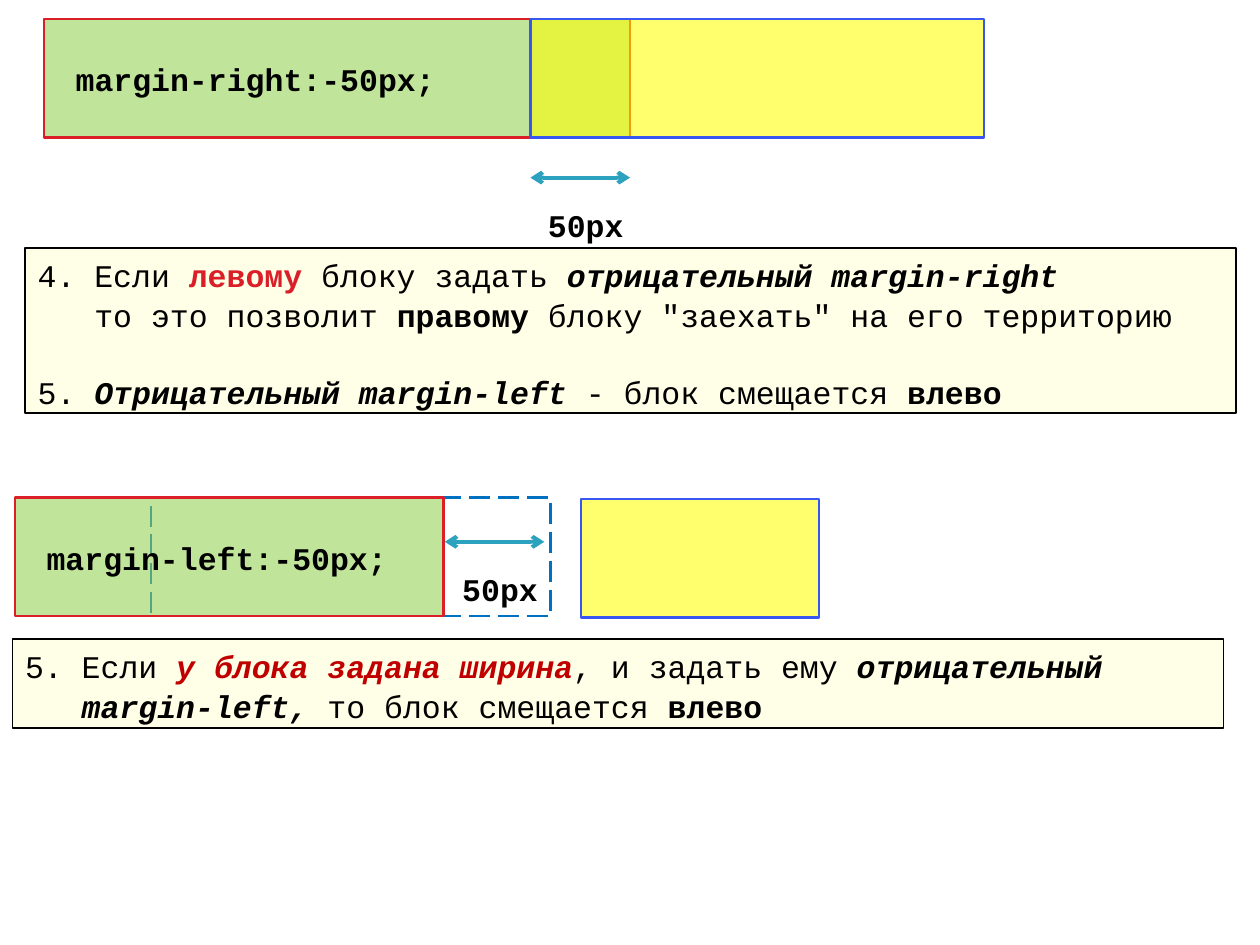
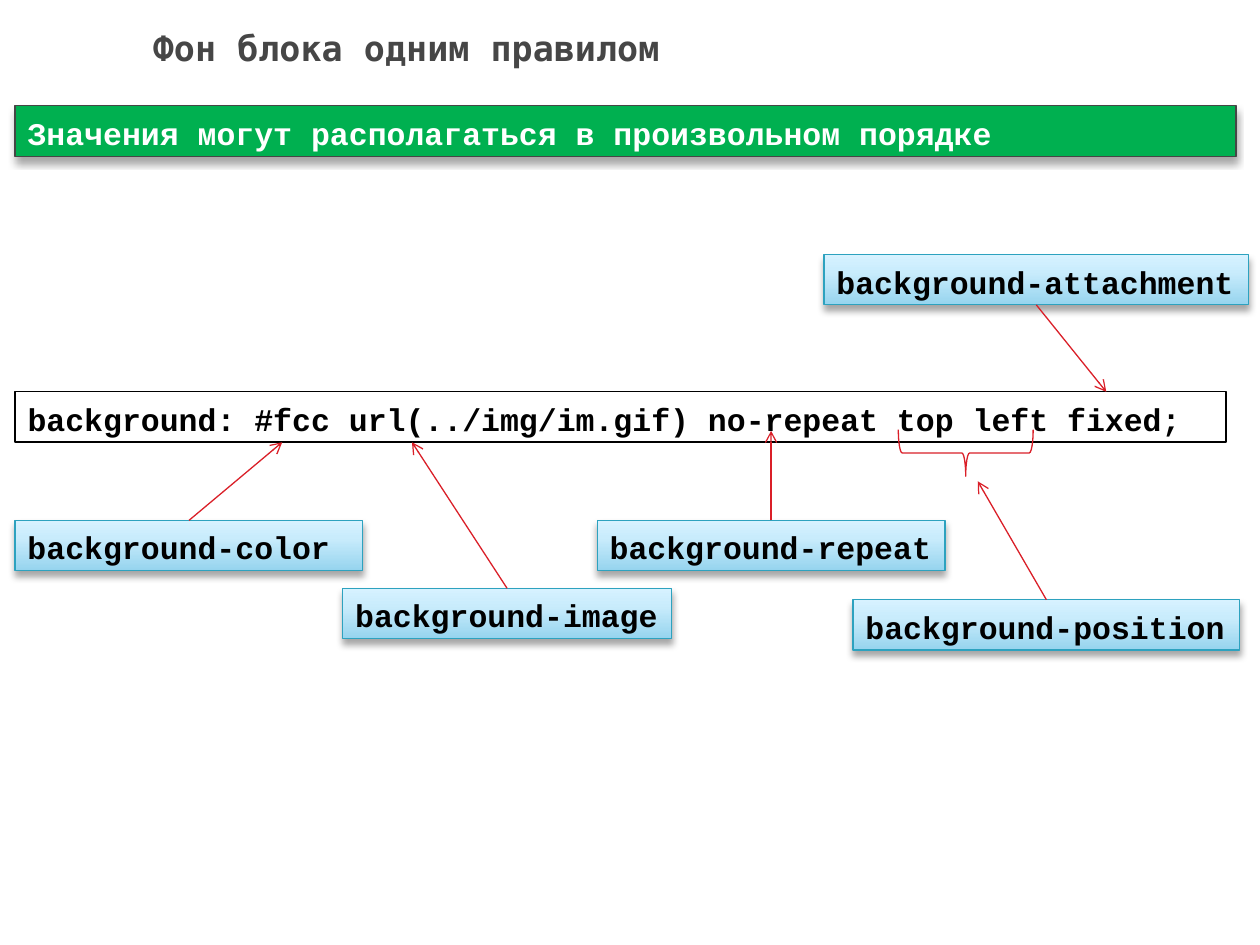
from pptx import Presentation, util as u
from pptx.dml.color import RGBColor
from pptx.enum import dml, shapes, text
from pptx.oxml.ns import qn
from lxml import etree

HUES = dict(ink="000000", white="FFFFFF", red="DA1F28", dark="C00000", blue="3756F2",
            sky="0070C0", teal="2DA2BF", lime="92D050", yellow="FFFF00",
            green="00B050", grey="464646")
FADE = ((0, "96D4EE"), (65, "C9ECFC"), (100, "D7F2FF"))
MONO, HEAD = "Courier New", "DejaVu Sans Mono"
COLS, ROWS = 10, 7.5
LINE = 0.4
BAR = 0.94
RECT = shapes.MSO_SHAPE.RECTANGLE
LEFT = text.PP_ALIGN.LEFT

deck = Presentation()
deck.slide_width, deck.slide_height = u.Inches(COLS), u.Inches(ROWS)
COL, ROW = deck.slide_width / COLS, deck.slide_height / ROWS


def hue(name):
    return RGBColor.from_string(HUES[name])


def cells(x, y):
    return round(x * COL), round(y * ROW)


def node(top, tag, **attrs):
    return etree.SubElement(top, qn("a:" + tag), {k: str(v) for k, v in attrs.items()})


def block(area, box, fill=None, alpha=100, line=None, width=0.75, kind=RECT):
    shape = area.add_shape(kind, *cells(*box[:2]), *cells(*box[2:]))
    shape.shadow.inherit = False
    if fill:
        shape.fill.solid()
        shape.fill.fore_color.rgb = hue(fill)
        if alpha < 100:
            tint = shape.fill._xPr.find(".//" + qn("a:srgbClr"))
            node(tint, "alpha", val=alpha * 1000)
    else:
        shape.fill.background()
    if line:
        shape.line.color.rgb = hue(line)
        shape.line.width = u.Pt(width)
    else:
        shape.line.fill.background()
    return shape


def style(run, color="ink", bold=True, slant=False, font=MONO, size=18):
    face = run.font
    face.name, face.size, face.bold, face.italic = font, u.Pt(size), bold, slant
    face.color.rgb = hue(color)


def write(shape, words, inset=0.1, anchor=text.MSO_ANCHOR.TOP, align=LEFT, **look):
    frame = shape.text_frame
    frame.word_wrap = True
    frame.vertical_anchor = anchor
    frame.margin_left = u.Inches(inset)
    frame.text = words
    para = frame.paragraphs[0]
    para.alignment = align
    para.line_spacing = 1.05
    style(para.runs[0], **look)


def cast(shape):
    glow = node(shape._element.spPr.find(qn("a:effectLst")), "outerShdw",
                blurRad=u.Pt(4), dist=u.Pt(3), dir=5400000, rotWithShape=0)
    node(node(glow, "srgbClr", val=HUES["ink"]), "alpha", val=35000)


def fade(shape):
    shape.fill.gradient()
    shape.fill.gradient_angle = 270
    grad = shape._element.spPr.find(qn("a:gradFill"))
    stops = grad.find(qn("a:gsLst"))
    for stop in list(stops):
        stops.remove(stop)
    for place, tone in FADE:
        node(node(stops, "gs", pos=place * 1000), "srgbClr", val=tone)
    grad.find(qn("a:lin")).set("ang", "16200000")


def arrow(area, start, end, color, width, both=False):
    link = area.add_connector(shapes.MSO_CONNECTOR.STRAIGHT, *cells(*start), *cells(*end))
    link.line.color.rgb = hue(color)
    link.line.width = u.Pt(width)
    edge = link.line._get_or_add_ln()
    if both:
        node(edge, "headEnd", type="arrow")
    node(edge, "tailEnd", type="arrow")
    node(link._element.spPr, "effectLst")


def bar(area, box, words):
    shape = block(area, box, "lime", 57, "red", 1.5)
    write(shape, words, 0.25, text.MSO_ANCHOR.MIDDLE)


def pane(area, box):
    block(area, box, "yellow", 57, "blue", 1.5)


def gap(area, x, y):
    arrow(area, (x, y), (x + 0.79, y), "teal", 2.25, True)
    write(block(area, (x + 0.04, y + 0.16, 0.81, LINE)), "50px")


def note(area, box, lines):
    shape = block(area, box, "yellow", 9, "ink", 1)
    frame = shape.text_frame
    frame.word_wrap = True
    frame.vertical_anchor = text.MSO_ANCHOR.TOP
    for i, (before, parts) in enumerate(lines):
        para = frame.paragraphs[0] if i == 0 else frame.add_paragraph()
        para.alignment = LEFT
        para.line_spacing = 1.05
        para.space_before = u.Pt(before)
        props = para._p.get_or_add_pPr()
        props.set("marL", str(u.Inches(0.45)))
        if parts[0][0][0].isdigit():
            props.set("indent", str(-u.Inches(0.45)))
        for words, mark, *color in parts:
            run = para.add_run()
            run.text = words
            style(run, *(color or ["ink"]), "b" in mark, "i" in mark)


def margins(slide):
    area = slide.shapes
    bar(area, (0.35, 0.15, 4.65, BAR), "margin-right:-50px;")
    pane(area, (4.21, 0.15, 3.6, BAR))
    gap(area, 4.21, 1.41)
    note(area, (0.2, 1.97, 9.61, 1.31), [
        (0, [("4. Если ", ""), ("левому ", "b", "red"), ("блоку задать ", ""),
             ("отрицательный margin-right", "bi")]),
        (0, [("то это позволит ", ""), ("правому ", "b"),
             ('блоку "заехать" на его территорию', "")]),
        (21.4, [("5. ", ""), ("Отрицательный margin-left ", "bi"),
                ("- блок смещается ", ""), ("влево", "b")])])
    note(area, (0.1, 5.07, 9.61, 0.71), [
        (0, [("5. Если ", ""), ("у блока задана ширина", "bi", "dark"),
             (", и задать ему ", ""), ("отрицательный", "bi")]),
        (0, [("margin-left, ", "bi"), ("то блок смещается ", ""), ("влево", "b")])])
    ghost = block(area, (1.2, 3.95, 3.17, BAR), line="sky", width=1.5)
    ghost.line.dash_style = dml.MSO_LINE.LONG_DASH
    pane(area, (4.61, 3.96, 1.89, BAR))
    bar(area, (0.12, 3.95, 3.4, BAR), "margin-left:-50px;")
    gap(area, 3.53, 4.3)


def label(area, x, y, wide, words, tip):
    shape = block(area, (x, y, wide, LINE), line="teal")
    fade(shape)
    cast(shape)
    write(shape, words)
    root = y if tip[1] < y else y + LINE
    arrow(area, (x + wide / 2, root), tip, "red", 0.75)


def rule(slide):
    area = slide.shapes
    title = block(area, (0.2, 0.13, 6.22, 0.47), "white")
    write(title, "Фон блока одним правилом", 0.1, text.MSO_ANCHOR.MIDDLE,
          text.PP_ALIGN.CENTER, color="grey", font=HEAD, size=20)
    title.text_frame.margin_right = u.Inches(0.27)
    band = block(area, (0.12, 0.84, 9.69, LINE), "green", line="grey")
    cast(band)
    write(band, "Значения могут располагаться в произвольном порядке", color="white")
    group = area.add_group_shape().shapes
    code = block(group, (0.12, 3.11, 9.61, LINE), line="ink")
    write(code, "background: #fcc url(../img/im.gif) no-repeat top left fixed;")
    for x, y, wide, name, tip in (
            (0.12, 4.13, 2.76, "color", (2.24, 3.51)),
            (2.72, 4.67, 2.61, "image", (3.27, 3.51)),
            (4.74, 4.13, 2.76, "repeat", (6.12, 3.42)),
            (6.77, 4.76, 3.07, "position", (7.76, 3.82)),
            (6.54, 2.02, 3.37, "attachment", (8.78, 3.11))):
        label(group, x, y, wide, "background-" + name, tip)
    brace = block(group, (7.48, 3.06, 0.37, 1.07), line="red",
                  kind=shapes.MSO_SHAPE.LEFT_BRACE)
    brace.rotation = 270


for draw in (margins, rule):
    draw(deck.slides.add_slide(deck.slide_layouts[6]))
deck.save("out.pptx")
